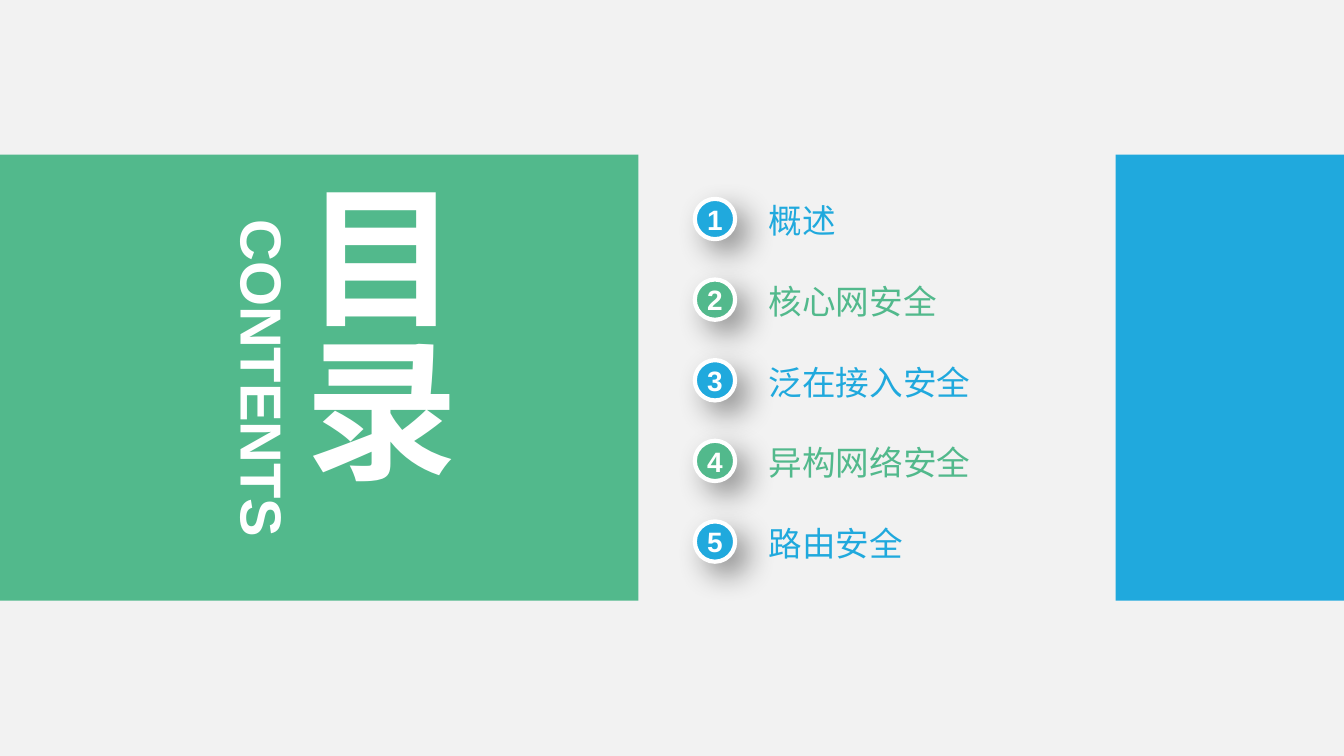
from pptx import Presentation
from pptx.dml.color import RGBColor
from pptx.enum.shapes import MSO_SHAPE
from pptx.enum.text import MSO_ANCHOR, MSO_AUTO_SIZE, PP_ALIGN
from pptx.oxml import parse_xml
from pptx.oxml.ns import nsdecls, qn
from pptx.util import Inches, Pt

RECTANGLE, OVAL = MSO_SHAPE.RECTANGLE, MSO_SHAPE.OVAL
TOP, MIDDLE = MSO_ANCHOR.TOP, MSO_ANCHOR.MIDDLE
LEFT, CENTER = PP_ALIGN.LEFT, PP_ALIGN.CENTER
FIT_SHAPE = MSO_AUTO_SIZE.SHAPE_TO_FIT_TEXT

TITLE = "目录"
SUBTITLE = "CONTENTS"
CHAPTERS = ["概述", "核心网安全", "泛在接入安全", "异构网络安全", "路由安全"]

THEME = {
    "font": "Arial",
    "background": "F2F2F2",
    "green": "52B98C",
    "blue": "20A9DD",
    "white": "FFFFFF",
    "title": 82,
    "subtitle": 31,
    "chapter": 18,
    "number": 15,
    "ring": 2.25,
}
SLIDE_WIDTH = 10
SLIDE_HEIGHT = SLIDE_WIDTH * 9 / 16
BANDS = [(-0.02, 4.77, "green"), (8.3, 1.72, "blue")]
BAND_TOP, BAND_HEIGHT = 1.15, 3.32
NUMBER_LEFT, CHAPTER_LEFT, CHAPTER_WIDTH = 5.17, 5.72, 2.58
FIRST_TOP, PITCH, ROW_HEIGHT = 1.48, 0.6, 0.3
CHAPTER_DROP = 0.01


def color(name):
    return RGBColor.from_string(THEME[name])


def paint(fill, name):
    fill.solid()
    fill.fore_color.rgb = color(name)


def write(shape, text, size, ink, bold=True, align=CENTER, anchor=MIDDLE):
    frame = shape.text_frame
    layout = {
        "margin_left": 0, "margin_right": 0, "margin_top": 0, "margin_bottom": 0,
        "word_wrap": True, "vertical_anchor": anchor,
    }
    for key, value in layout.items():
        setattr(frame, key, value)
    paragraph = frame.paragraphs[0]
    paragraph.alignment = align
    run = paragraph.add_run()
    run.text = text
    style = {"name": THEME["font"], "size": Pt(THEME[size]), "bold": bold}
    for key, value in style.items():
        setattr(run.font, key, value)
    run.font.color.rgb = color(ink)


def add_shape(slide, kind, box, fill):
    shape = slide.shapes.add_shape(kind, *map(Inches, box))
    shape.shadow.inherit = False
    paint(shape.fill, fill)
    shape.line.fill.background()
    return shape


def add_text(slide, box, text, size, ink, **options):
    label = slide.shapes.add_textbox(*map(Inches, box))
    write(label, text, size, ink, **options)
    label.text_frame.auto_size = FIT_SHAPE
    return label


def add_number(slide, number, top, fill):
    badge = add_shape(slide, OVAL, (NUMBER_LEFT, top, ROW_HEIGHT, ROW_HEIGHT), fill)
    paint(badge.line.fill, "white")
    badge.line.width = Pt(THEME["ring"])
    effects = badge.element.spPr.find(qn("a:effectLst"))
    effects.append(parse_xml(
        f'<a:outerShdw {nsdecls("a")} blurRad="{Pt(16)}" dist="{Pt(9)}" '
        'dir="2700000" algn="tl" rotWithShape="0"><a:srgbClr val="000000">'
        '<a:alpha val="40000"/></a:srgbClr></a:outerShdw>'))
    write(badge, str(number), "number", "white")


def main():
    deck = Presentation()
    deck.slide_width, deck.slide_height = Inches(SLIDE_WIDTH), Inches(SLIDE_HEIGHT)
    slide = deck.slides.add_slide(deck.slide_layouts[6])
    paint(slide.background.fill, "background")

    for left, width, fill in BANDS:
        add_shape(slide, RECTANGLE, (left, BAND_TOP, width, BAND_HEIGHT), fill)

    title = add_text(slide, (2.11, 1.34, 1.38, 2.95), TITLE, "title", "white")
    title.element.txBody.bodyPr.set("vert", "eaVert")
    subtitle = add_text(slide, (0.67, 2.55, 2.57, 0.53), SUBTITLE, "subtitle", "white", anchor=TOP)
    subtitle.rotation = 90

    for index, chapter in enumerate(CHAPTERS):
        top = FIRST_TOP + index * PITCH
        accent = ("blue", "green")[index % 2]
        add_number(slide, index + 1, top, accent)
        add_text(slide, (CHAPTER_LEFT, top + CHAPTER_DROP, CHAPTER_WIDTH, ROW_HEIGHT),
                 chapter, "chapter", accent, bold=False, align=LEFT)

    deck.save("out.pptx")


if __name__ == "__main__":
    main()
